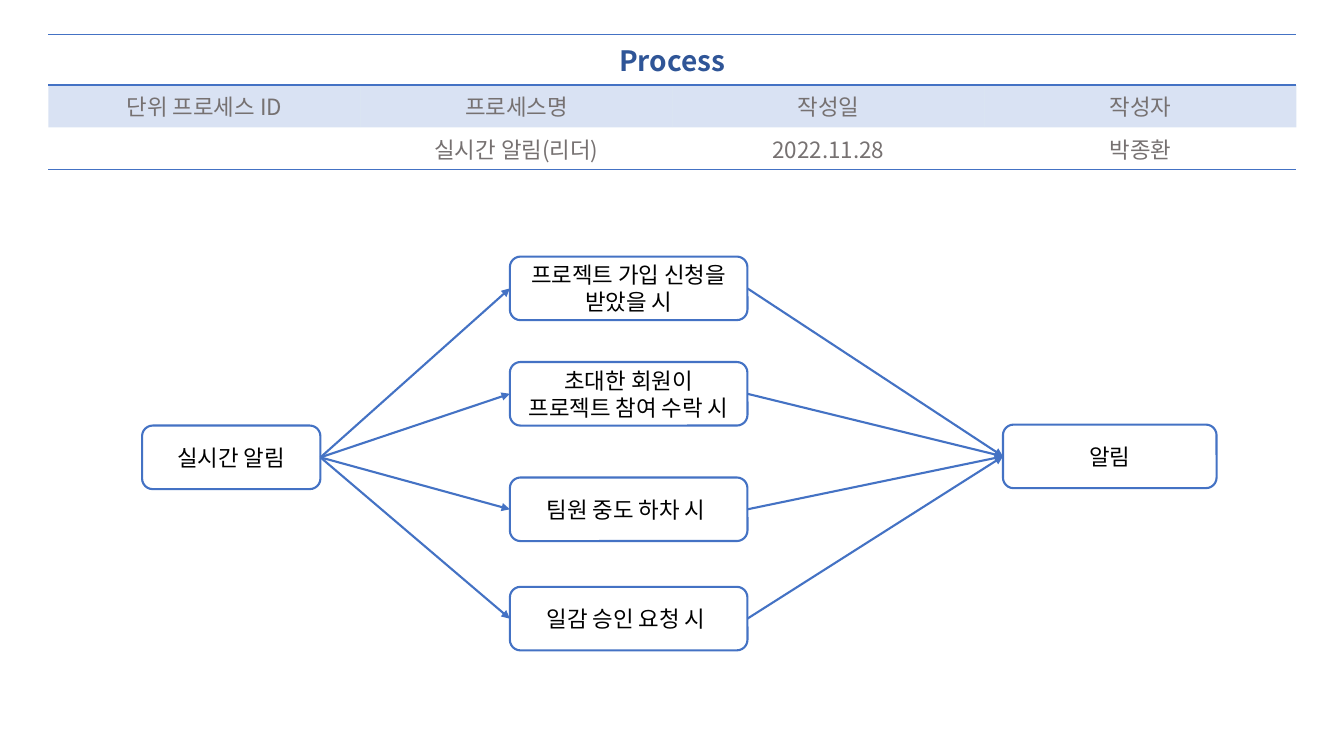
from typing import NamedTuple

from lxml import etree
from pptx import Presentation
from pptx.dml.color import RGBColor
from pptx.enum.shapes import MSO_CONNECTOR, MSO_SHAPE
from pptx.enum.text import MSO_ANCHOR, PP_ALIGN
from pptx.oxml.ns import qn
from pptx.util import Pt

ROUND = MSO_SHAPE.ROUNDED_RECTANGLE
STRAIGHT = MSO_CONNECTOR.STRAIGHT
MIDDLE = MSO_ANCHOR.MIDDLE
CENTER = PP_ALIGN.CENTER
LEFT_SITE, RIGHT_SITE = 1, 3

FONT = "Noto Sans CJK KR"
PLAIN = "{2D5ABB26-0587-4C30-8999-92F81FD0307C}"  # table style without grid
COLORS = {"blue": "4472C4", "navy": "2F5597", "gray": "767171",
          "black": "000000", "white": "FFFFFF"}


class Box(NamedTuple):
    text: str
    left: float
    top: float
    width: float
    height: float = 45.4


START = Box("실시간 알림", 101.5, 304, 127.4)
END = Box("알림", 716.4, 303.3, 152.6)
EVENTS = [Box(text, 364.2, top, 169.7) for text, top in (
    ("프로젝트 가입 신청을 받았을 시", 183.3),
    ("초대한 회원이 프로젝트 참여 수락 시", 258.6),
    ("팀원 중도 하차 시 ", 341.1),
    ("일감 승인 요청 시 ", 419.2))]

ROWS = [("Process", "", "", ""),
        ("단위 프로세스 ID", "프로세스명", "작성일", "작성자"),
        ("", "실시간 알림(리더)", "2022.11.28", "박종환")]
HEIGHTS = [33, 27.4, 27.4]
EDGES = [("lnT", "lnB"), (), ("lnB",)]
TABLE = Box("", 34.6, 24.5, 891.4, sum(HEIGHTS))


def rgb(name: str) -> RGBColor:
    return RGBColor.from_string(COLORS[name])


def write(frame, text: str, *, size: float = 16, color: str = "black",
          bold: bool = False) -> None:
    para = frame.paragraphs[0]
    para.alignment = CENTER
    run = para.add_run()
    run.text = text
    font = run.font
    font.name, font.size, font.bold = FONT, Pt(size), bold
    font.color.rgb = rgb(color)
    etree.SubElement(font._element, qn("a:ea"), typeface=FONT)


def edge(cell, tag: str) -> None:
    props = cell._tc.get_or_add_tcPr()
    line = etree.SubElement(props, qn(f"a:{tag}"), w=str(Pt(1)))
    fill = etree.SubElement(line, qn("a:solidFill"))
    etree.SubElement(fill, qn("a:srgbClr"), val=COLORS["blue"])


def tint(cell, percent: int) -> None:
    cell.fill.solid()
    cell.fill.fore_color.rgb = rgb("blue")
    shade = cell._tc.tcPr.find(f".//{qn('a:solidFill')}/{qn('a:srgbClr')}")
    etree.SubElement(shade, qn("a:alpha"), val=str(percent * 1000))


def add_table(slide, area: Box) -> None:
    frame = slide.shapes.add_table(len(ROWS), len(ROWS[0]), *map(Pt, area[1:]))
    table = frame.table
    table.first_row = table.horz_banding = False
    table._tbl.tblPr.find(qn("a:tableStyleId")).text = PLAIN
    for col in table.columns:
        col.width = Pt(area.width / len(ROWS[0]))
    for r, texts in enumerate(ROWS):
        table.rows[r].height = Pt(HEIGHTS[r])
        for c, text in enumerate(texts):
            cell = table.cell(r, c)
            for tag in EDGES[r]:
                edge(cell, tag)
            if r == 1:
                tint(cell, 20)
            else:
                cell.fill.background()
            if r == 0 and text:
                write(cell.text_frame, text, size=20, color="navy", bold=True)
            else:
                write(cell.text_frame, text, color="gray")
    table.cell(0, 0).merge(table.cell(0, len(ROWS[0]) - 1))


def add_box(slide, box: Box):
    shape = slide.shapes.add_shape(ROUND, *map(Pt, box[1:]))
    shape.shadow.inherit = False
    shape.fill.solid()
    shape.fill.fore_color.rgb = rgb("white")
    shape.line.color.rgb = rgb("blue")
    shape.line.width = Pt(1.5)
    frame = shape.text_frame
    frame.word_wrap = True
    frame.vertical_anchor = MIDDLE
    write(frame, box.text)
    return shape


def add_arrow(slide, source, target) -> None:
    arrow = slide.shapes.add_connector(STRAIGHT, 0, 0, 0, 0)
    arrow.begin_connect(source, RIGHT_SITE)
    arrow.end_connect(target, LEFT_SITE)
    arrow.line.color.rgb = rgb("blue")
    arrow.line.width = Pt(1.5)
    etree.SubElement(arrow.line._get_or_add_ln(), qn("a:tailEnd"),
                     type="triangle")
    etree.SubElement(arrow._element.spPr, qn("a:effectLst"))


def main() -> None:
    deck = Presentation()
    deck.slide_width, deck.slide_height = Pt(960), Pt(540)
    slide = deck.slides.add_slide(deck.slide_layouts[6])

    # Heading table
    add_table(slide, TABLE)

    # Flow from the trigger through each event to the notice
    start, end = add_box(slide, START), add_box(slide, END)
    for event in EVENTS:
        shape = add_box(slide, event)
        add_arrow(slide, start, shape)
        add_arrow(slide, shape, end)

    deck.save("out.pptx")


if __name__ == "__main__":
    main()
